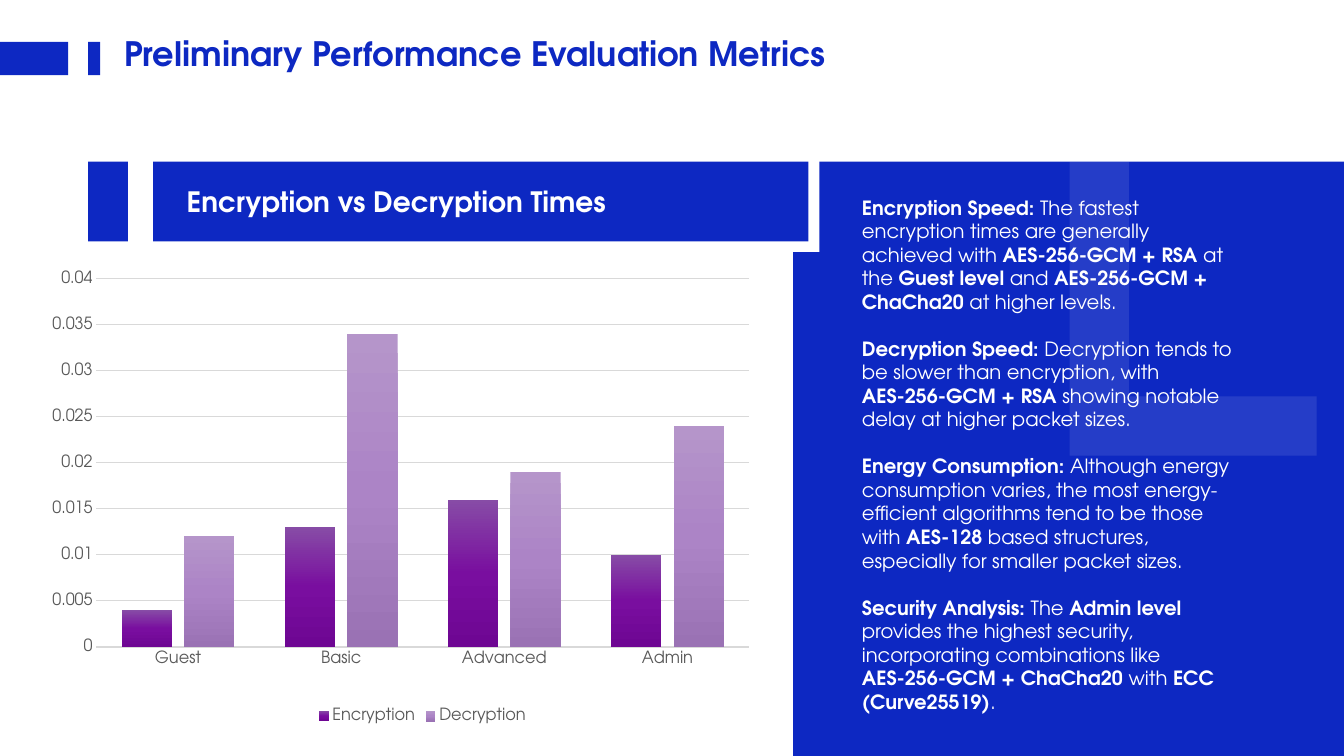
from dataclasses import dataclass

from lxml.etree import SubElement
from pptx import Presentation
from pptx.chart.data import CategoryChartData
from pptx.dml.color import RGBColor
from pptx.enum.chart import XL_CHART_TYPE as Chart, XL_LEGEND_POSITION as Legend, XL_TICK_MARK as Tick
from pptx.enum.shapes import MSO_SHAPE as Shape
from pptx.enum.text import MSO_ANCHOR as Anchor, MSO_AUTO_SIZE as AutoSize, PP_ALIGN as Align
from pptx.oxml.ns import qn
from pptx.util import Pt

TITLE = "Preliminary Performance Evaluation Metrics"
CHART_HEADING = "Encryption vs Decryption Times"
LEVELS = ["Guest", "Basic", "Advanced", "Admin"]
TIMES = {
    "Encryption": (0.004, 0.013, 0.016, 0.01),
    "Decryption": (0.012, 0.034, 0.019, 0.024),
}
# Text between ** marks is bold.
FINDINGS = [
    "**Encryption Speed:** The fastest encryption times are generally achieved with "
    "**AES-256-GCM + RSA** at the **Guest level** and **AES-256-GCM + ChaCha20** at higher levels.",
    "**Decryption Speed:** Decryption tends to be slower than encryption, with "
    "**AES-256-GCM + RSA** showing notable delay at higher packet sizes.",
    "**Energy Consumption:** Although energy consumption varies, the most energy-efficient "
    "algorithms tend to be those with **AES-128** based structures, especially for smaller packet sizes.",
    "**Security Analysis:** The **Admin level** provides the highest security, incorporating "
    "combinations like **AES-256-GCM + ChaCha20** with **ECC (Curve25519)**.",
]


@dataclass(frozen=True)
class Theme:
    font: str = "TeX Gyre Adventor"
    blue: str = "0D28C2"
    white: str = "FFFFFF"
    grey: str = "595959"
    grid: str = "D9D9D9"
    bars: tuple = (("874CA6", "790E9F", "6E0693"), ("B595CA", "AC84C6", "9A72B4"))
    title: int = 24
    heading: int = 20
    body: int = 14
    chart: int = 12


T = Theme()
W, H = 960, 540
BAND_TOP, BAND_H = 115.5, 57
PANEL_LEFT = 566.6


def rgb(color):
    return RGBColor.from_string(color)


def style(font, size, color, bold=False):
    font.name, font.size, font.bold = T.font, Pt(size), bold
    font.color.rgb = rgb(color)


def place(sp, left, top, width, height):
    sp.left, sp.top, sp.width, sp.height = (Pt(v) for v in (left, top, width, height))


def add_block(slide, box, color, kind=Shape.RECTANGLE):
    sp = slide.shapes.add_shape(kind, *(Pt(v) for v in box))
    sp.shadow.inherit = False
    sp.fill.solid()
    sp.fill.fore_color.rgb = rgb(color)
    sp.line.fill.background()
    return sp


def set_frame(tf, anchor):
    tf.word_wrap, tf.auto_size, tf.vertical_anchor = True, AutoSize.NONE, anchor


def set_line(sp, text, size, color):
    sp.text_frame.text = text
    p = sp.text_frame.paragraphs[0]
    p.alignment = Align.LEFT
    style(p.runs[0].font, size, color, bold=True)


def set_gradient(series, colors):
    """Fill the bars from top to bottom with evenly spaced colours."""
    fill = series.format.fill
    fill.gradient()
    fill.gradient_angle = 270
    stops = next(series._element.iter(qn("a:gsLst")))
    for stop in list(stops):
        stops.remove(stop)
    for i, color in enumerate(colors):
        stop = SubElement(stops, qn("a:gs"), pos=str(100000 * i // (len(colors) - 1)))
        SubElement(stop, qn("a:srgbClr"), val=color)


def set_plot_area(chart, x, y, w, h):
    """Fix the inner plot area, as fractions of the chart."""
    area = next(chart._chartSpace.iter(qn("c:plotArea")))
    layout = area.find(qn("c:layout"))
    if layout is None:
        layout = SubElement(area, qn("c:layout"))
        area.insert(0, layout)
    manual = SubElement(layout, qn("c:manualLayout"))
    values = {"layoutTarget": "inner", "xMode": "edge", "yMode": "edge", "x": x, "y": y, "w": w, "h": h}
    for name, value in values.items():
        SubElement(manual, qn(f"c:{name}"), val=str(value))


def add_times_chart(slide):
    data = CategoryChartData()
    data.categories = LEVELS
    for name, values in TIMES.items():
        data.add_series(name, values)
    box = (Pt(v) for v in (37.4, 188, 509, 332))
    chart = slide.shapes.add_chart(Chart.COLUMN_CLUSTERED, *box, data).chart
    style(chart.font, T.chart, T.grey)
    chart.has_title = False
    chart.has_legend = True
    chart.legend.position, chart.legend.include_in_layout = Legend.BOTTOM, False
    style(chart.legend.font, T.chart, T.grey)
    plot = chart.plots[0]
    plot.gap_width, plot.overlap, plot.vary_by_categories = 100, -24, False
    for series, colors in zip(plot.series, T.bars):
        set_gradient(series, colors)
    for axis in (chart.category_axis, chart.value_axis):
        axis.major_tick_mark = axis.minor_tick_mark = Tick.NONE
        style(axis.tick_labels.font, T.chart, T.grey)
    values = chart.value_axis
    values.minimum_scale, values.maximum_scale, values.major_unit = 0, 0.04, 0.005
    values.format.line.fill.background()
    for line, width in ((chart.category_axis.format.line, 1), (values.major_gridlines.format.line, 0.75)):
        line.color.rgb, line.width = rgb(T.grid), Pt(width)
    set_plot_area(chart, 0.024, 0.033, 0.953, 0.793)


def add_findings(slide, body):
    slide.shapes._spTree.append(body._element)  # in front of the panel
    place(body, 608.4, 136, 281, 380)
    tf = body.text_frame
    set_frame(tf, Anchor.TOP)
    for i, finding in enumerate(FINDINGS):
        p = tf.paragraphs[0] if i == 0 else tf.add_paragraph()
        p.alignment, p.space_before = Align.LEFT, Pt(0)
        p.space_after = Pt(1.2 * T.body if i < len(FINDINGS) - 1 else 0)
        pPr = p._p.get_or_add_pPr()
        pPr.set("marL", "0")
        pPr.set("indent", "0")
        SubElement(pPr, qn("a:buNone"))
        for n, part in enumerate(finding.split("**")):
            if part:
                r = p.add_run()
                r.text = part
                style(r.font, T.body, T.white, bold=n % 2 == 1)


def main():
    prs = Presentation()
    prs.slide_width, prs.slide_height = Pt(W), Pt(H)
    slide = prs.slides.add_slide(prs.slide_layouts[1])
    title, body = slide.shapes.title, slide.placeholders[1]

    for left, width in ((0, 48.6), (63, 8.6)):
        add_block(slide, (left, 30, width, 23.6), T.blue)
    place(title, 81.4, 20, 710.6, 36)
    set_frame(title.text_frame, Anchor.MIDDLE)
    set_line(title, TITLE, T.title, T.blue)

    add_times_chart(slide)
    add_block(slide, (PANEL_LEFT, BAND_TOP, W - PANEL_LEFT, H - BAND_TOP), T.blue)
    add_block(slide, (122.4, BAND_TOP - 1, 463, 65.5), T.white)
    add_block(slide, (63, BAND_TOP, 28.4, BAND_H), T.blue)
    heading = add_block(slide, (109.4, BAND_TOP, 468, BAND_H), T.blue)
    set_frame(heading.text_frame, Anchor.MIDDLE)
    heading.text_frame.margin_left = Pt(24)
    set_line(heading, CHART_HEADING, T.heading, T.white)
    add_findings(slide, body)

    corner = add_block(slide, (764, BAND_TOP, 176.5, 210), T.white, Shape.CORNER)
    corner.adjustments[0] = corner.adjustments[1] = 0.24
    color = next(corner._element.spPr.iter(qn("a:srgbClr")))
    SubElement(color, qn("a:alpha"), val="10000")

    prs.save("out.pptx")


if __name__ == "__main__":
    main()
